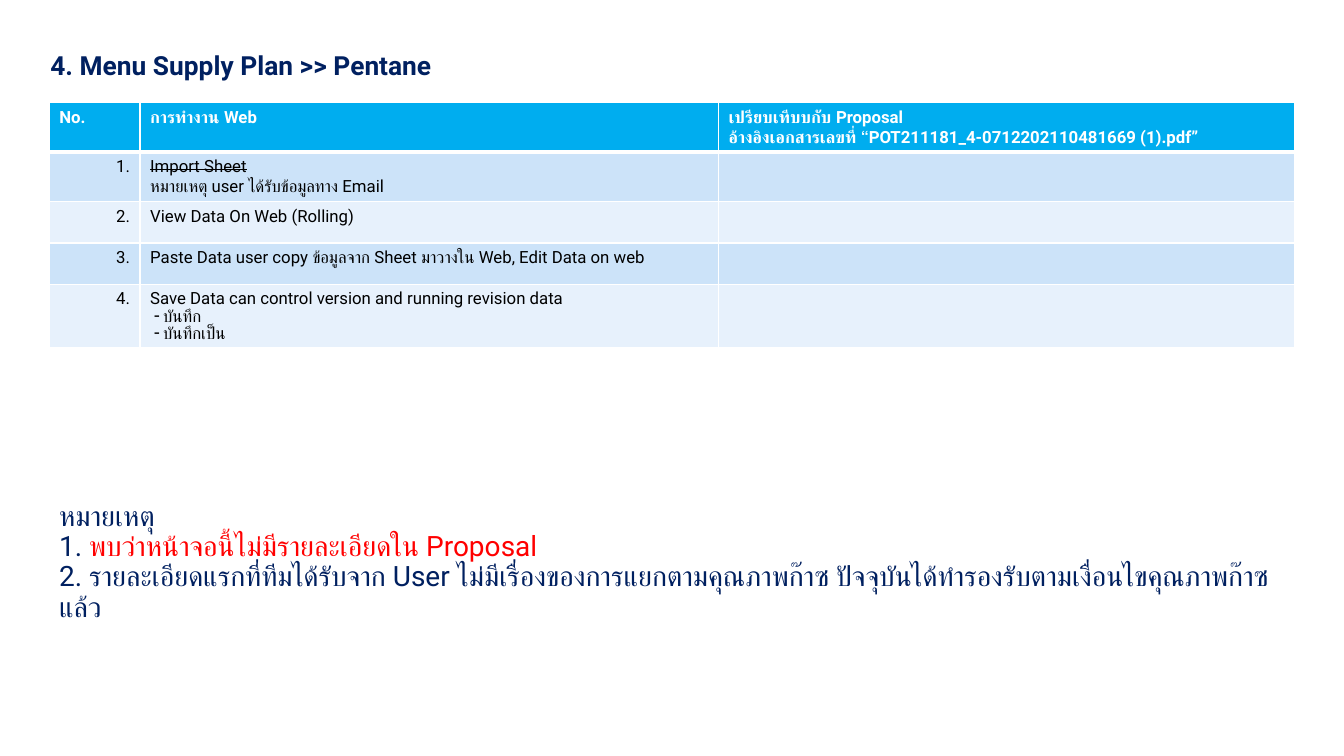
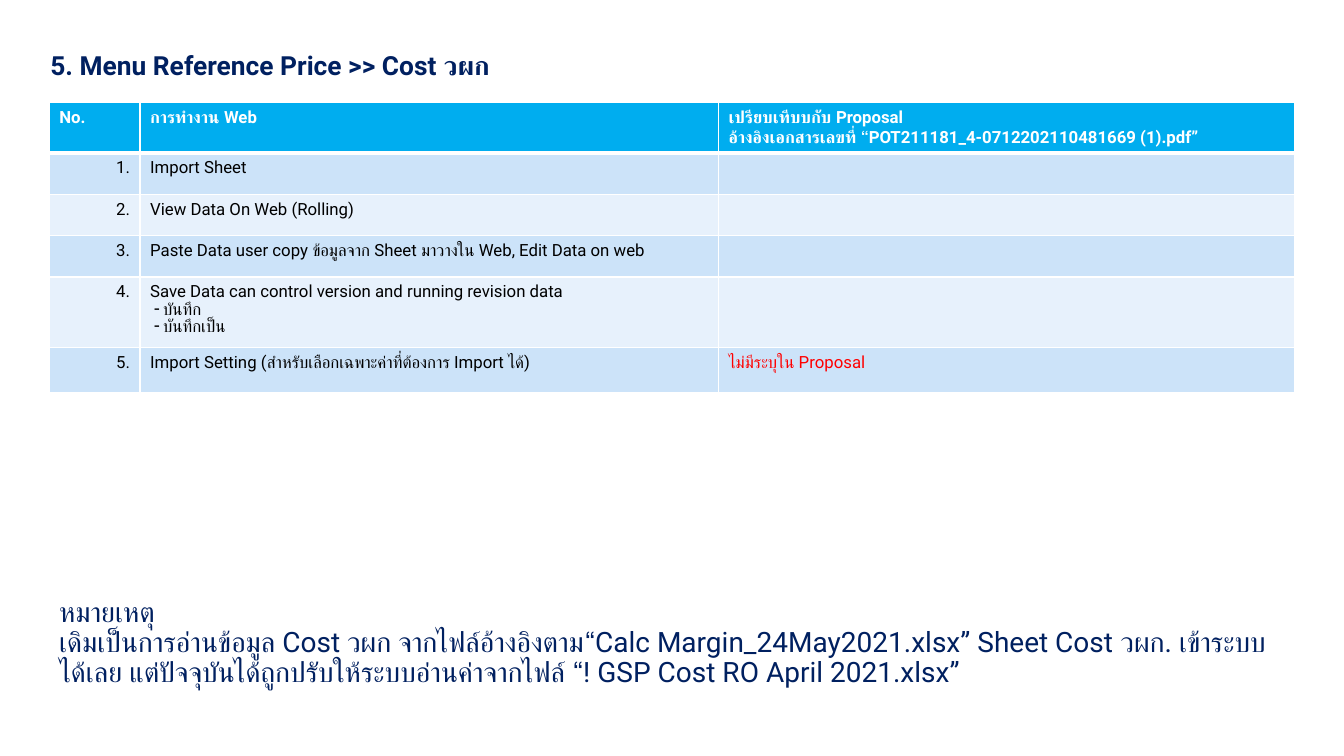
from dataclasses import dataclass

from lxml import etree
from pptx import Presentation
from pptx.dml.color import RGBColor
from pptx.enum.text import MSO_ANCHOR, PP_ALIGN
from pptx.oxml.ns import qn
from pptx.util import Cm, Pt

BOTTOM = MSO_ANCHOR.BOTTOM
LEFT, RIGHT = PP_ALIGN.LEFT, PP_ALIGN.RIGHT

FONT = "Roboto"
NAVY, RED, BLACK, WHITE = "002060", "FF0000", "000000", "FFFFFF"
HEADER_FILL = "00ADEF"
BAND_FILLS = ("CCE3F9", "E7F1FC")

MARGIN, CONTENT_WIDTH = Cm(1.24), Cm(31.39)
TABLE_TOP = Cm(2.59)
COLUMN_WIDTHS = (Cm(2.29), Cm(14.58), Cm(14.52))
ROW_HEIGHT, TALL_ROW_HEIGHT = Cm(1.04), Cm(1.14)
NOTE_HEIGHT = Cm(3.84)


@dataclass(frozen=True)
class Span:
    text: str
    color: str | None = None
    strike: bool = False


@dataclass(frozen=True)
class Line:
    spans: tuple[Span, ...]
    dashed: bool = False


@dataclass(frozen=True)
class Style:
    size: float
    color: str
    bold: bool = False
    spacing: float = 1.0
    align: PP_ALIGN = LEFT


@dataclass(frozen=True)
class Feature:
    work: tuple[Line, ...]
    proposal: tuple[Line, ...] = ()
    height: Cm = ROW_HEIGHT


@dataclass(frozen=True)
class MenuPage:
    title: str
    features: tuple[Feature, ...]
    note_top: Cm
    note: tuple[Line, ...]


TITLE = Style(18.8, NAVY, bold=True, spacing=0.7)
HEADER = Style(12, WHITE, bold=True)
BODY = Style(12, BLACK)
NUMBER = Style(12, BLACK, align=RIGHT)
NOTE = Style(20, NAVY, spacing=0.9)


def line(text: str, color: str | None = None, strike: bool = False,
         dashed: bool = False) -> Line:
    return Line((Span(text, color, strike),), dashed)


HEADINGS = (
    (line("No."),),
    (line("การทำงาน Web"),),
    (line("เปรียบเทีบบกับ Proposal"),
     line("อ้างอิงเอกสารเลขที่ “POT211181_4-0712202110481669 (1).pdf”")),
)
SHARED_FEATURES = (
    Feature((line("View Data On Web (Rolling)"),)),
    Feature((line("Paste Data user copy ข้อมูลจาก Sheet มาวางใน Web, Edit Data on web"),)),
    Feature((line("Save Data can control version and running revision data"),
             line("บันทึก", dashed=True),
             line("บันทึกเป็น", dashed=True)), height=TALL_ROW_HEIGHT),
)
PAGES = (
    MenuPage(
        "4. Menu Supply Plan >> Pentane",
        (Feature((line("Import Sheet", strike=True),
                  line("หมายเหตุ user ได้รับข้อมูลทาง Email"))),
         *SHARED_FEATURES),
        Cm(11.99),
        (line("หมายเหตุ"),
         Line((Span("1. "), Span("พบว่าหน้าจอนี้ไม่มีรายละเอียดใน Proposal", RED))),
         line("2. รายละเอียดแรกที่ทีมได้รับจาก User ไม่มีเรื่องของการแยกตามคุณภาพก๊าซ "
              "ปัจจุบันได้ทำรองรับตามเงื่อนไขคุณภาพก๊าซแล้ว")),
    ),
    MenuPage(
        "5. Menu Reference Price >> Cost วผก",
        (Feature((line("Import Sheet"),)),
         *SHARED_FEATURES,
         Feature((line("Import Setting (สำหรับเลือกเฉพาะค่าที่ต้องการ Import ได้)"),),
                 (line("ไม่มีระบุใน Proposal", RED),), TALL_ROW_HEIGHT)),
        Cm(13.64),
        (line("หมายเหตุ"),
         line("เดิมเป็นการอ่านข้อมูล Cost วผก จากไฟล์อ้างอิงตาม“Calc Margin_24May2021.xlsx” "
              "Sheet Cost วผก. เข้าระบบได้เลย แต่ปัจจุบันได้ถูกปรับให้ระบบอ่านค่าจากไฟล์ "
              "“! GSP Cost RO April 2021.xlsx”")),
    ),
)


def rgb(color: str) -> RGBColor:
    return RGBColor.from_string(color)


def add_dash(paragraph) -> None:
    """Give the paragraph a hanging dash bullet."""
    properties = paragraph._p.get_or_add_pPr()
    properties.set("marL", str(Cm(0.33)))
    properties.set("indent", str(-Cm(0.23)))
    etree.SubElement(properties, qn("a:buChar"), char="-")


def write(frame, lines: tuple[Line, ...], style: Style) -> None:
    for index, content in enumerate(lines):
        paragraph = frame.paragraphs[0] if index == 0 else frame.add_paragraph()
        paragraph.alignment = style.align
        paragraph.line_spacing = style.spacing
        if content.dashed:
            add_dash(paragraph)
        font = paragraph.font
        font.name, font.size, font.bold = FONT, Pt(style.size), style.bold
        font.color.rgb = rgb(style.color)
        for span in content.spans:
            run = paragraph.add_run()
            run.text = span.text
            if span.color:
                run.font.color.rgb = rgb(span.color)
            if span.strike:
                run._r.get_or_add_rPr().set("strike", "sngStrike")


def add_text(slide, left: Cm, top: Cm, width: Cm, height: Cm,
             lines: tuple[Line, ...], style: Style) -> None:
    frame = slide.shapes.add_textbox(left, top, width, height).text_frame
    frame.word_wrap = True
    frame.vertical_anchor = BOTTOM
    write(frame, lines, style)


def set_borders(cell, top: float, bottom: float) -> None:
    """Draw white cell borders, 1 pt at the sides; call before filling the cell."""
    properties = cell._tc.get_or_add_tcPr()
    for side, width in (("L", 1), ("R", 1), ("T", top), ("B", bottom)):
        border = etree.SubElement(properties, qn(f"a:ln{side}"), w=str(Pt(width)))
        fill = etree.SubElement(border, qn("a:solidFill"))
        etree.SubElement(fill, qn("a:srgbClr"), val=WHITE)


def add_feature_table(slide, features: tuple[Feature, ...]) -> None:
    heights = (ROW_HEIGHT, *(feature.height for feature in features))
    table = slide.shapes.add_table(len(heights), len(COLUMN_WIDTHS), MARGIN, TABLE_TOP,
                                   CONTENT_WIDTH, sum(heights)).table
    table.first_row = table.horz_banding = False
    for column, width in zip(table.columns, COLUMN_WIDTHS):
        column.width = width

    rows = [HEADINGS]
    rows += [((line(f"{number}."),), feature.work, feature.proposal or (line(""),))
             for number, feature in enumerate(features, 1)]
    for row, (contents, height) in enumerate(zip(rows, heights)):
        table.rows[row].height = height
        styles = (NUMBER, BODY, BODY) if row else (HEADER,) * 3
        fill = BAND_FILLS[(row - 1) % 2] if row else HEADER_FILL
        for column, (lines, style) in enumerate(zip(contents, styles)):
            cell = table.cell(row, column)
            set_borders(cell, top=3 if row == 1 else 1, bottom=1 if row else 3)
            cell.fill.solid()
            cell.fill.fore_color.rgb = rgb(fill)
            write(cell.text_frame, lines, style)


def add_page(presentation, page: MenuPage) -> None:
    slide = presentation.slides.add_slide(presentation.slide_layouts[6])
    add_feature_table(slide, page.features)
    add_text(slide, Cm(1.02), Cm(1.19), Cm(25.27), Cm(0.96), (line(page.title),), TITLE)
    add_text(slide, MARGIN, page.note_top, CONTENT_WIDTH, NOTE_HEIGHT, page.note, NOTE)


def main() -> None:
    presentation = Presentation()
    presentation.slide_width, presentation.slide_height = Cm(33.87), Cm(19.05)
    for page in PAGES:
        add_page(presentation, page)
    presentation.save("out.pptx")


if __name__ == "__main__":
    main()
